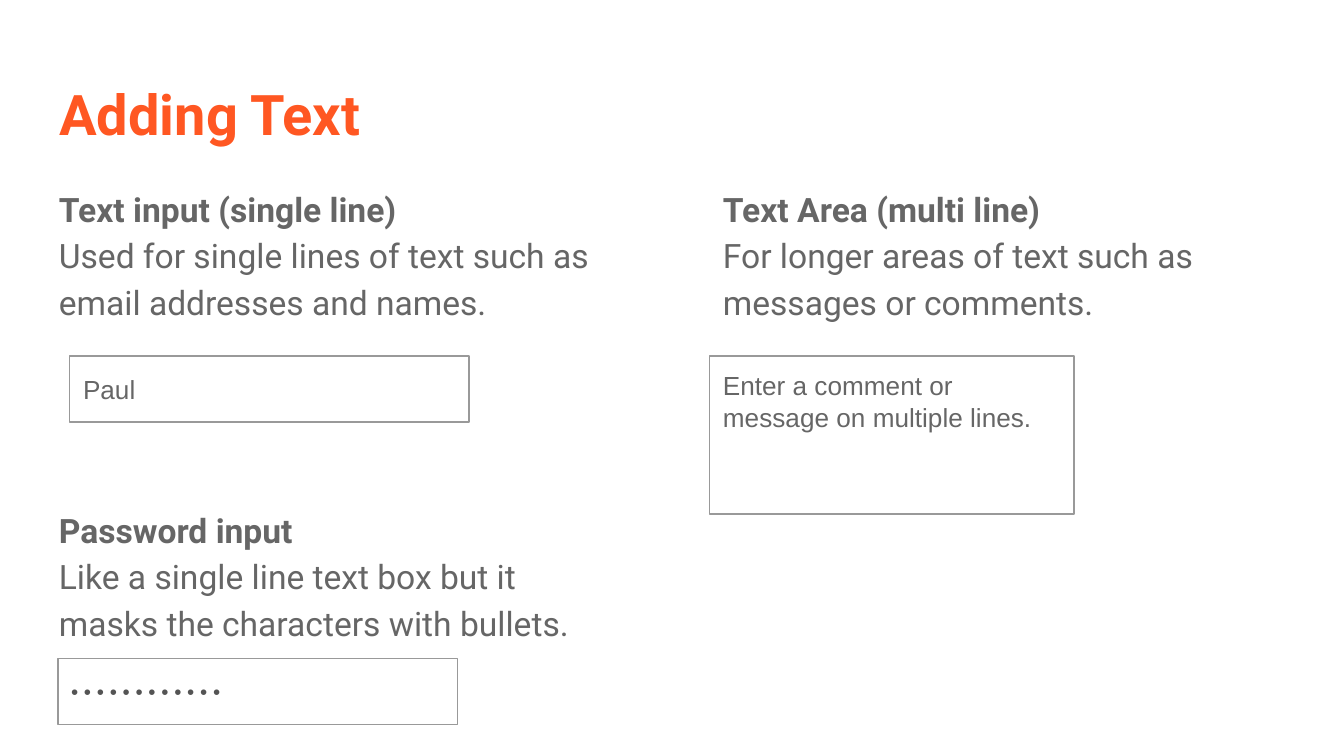
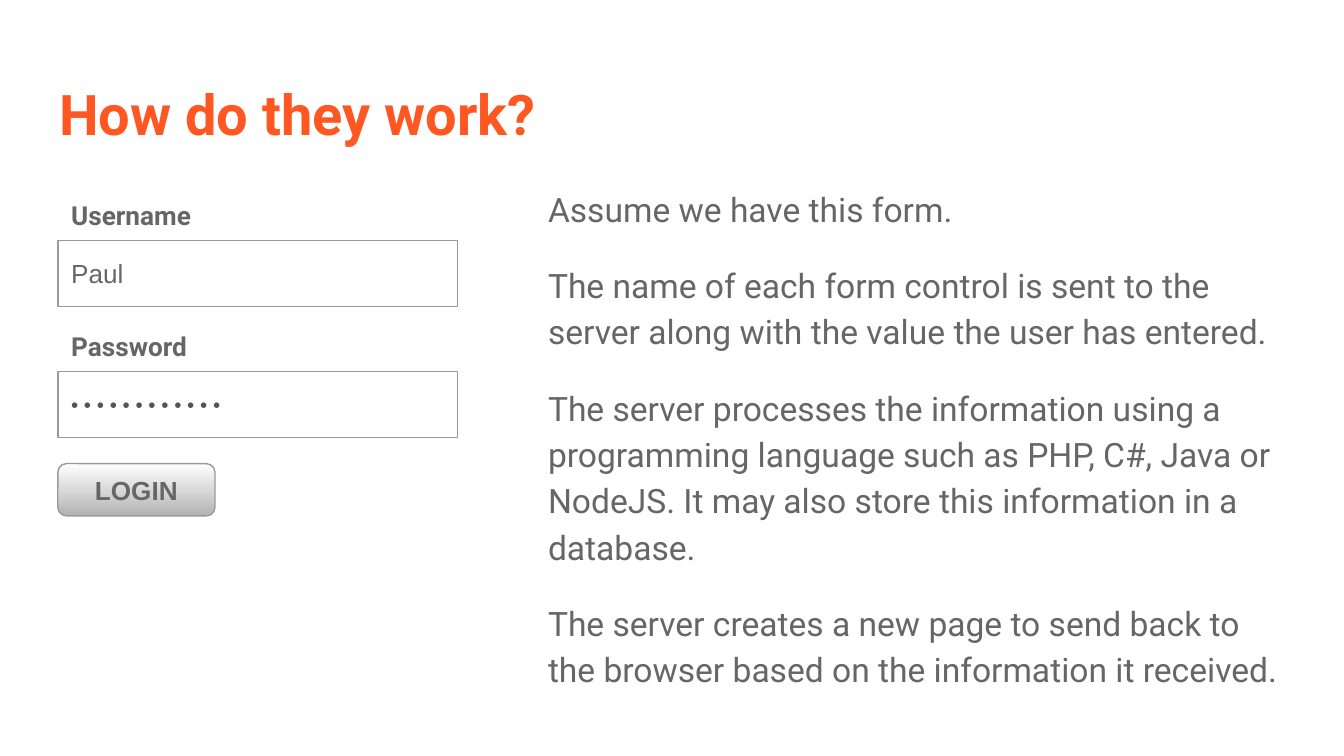
from dataclasses import dataclass

from pptx import Presentation
from pptx.dml.color import RGBColor
from pptx.enum.shapes import MSO_SHAPE
from pptx.enum.text import MSO_ANCHOR, MSO_AUTO_SIZE, PP_ALIGN
from pptx.util import Pt

TOP, MIDDLE = MSO_ANCHOR.TOP, MSO_ANCHOR.MIDDLE
LEFT, CENTER = PP_ALIGN.LEFT, PP_ALIGN.CENTER
RECT, ROUND = MSO_SHAPE.RECTANGLE, MSO_SHAPE.ROUNDED_RECTANGLE
NO_FIT = MSO_AUTO_SIZE.NONE


def tone(code):
    """Return the colour for a hex code."""
    return RGBColor.from_string(code)


def style(name, size, color, bold=False):
    """Return the font values of one text style."""
    return {"name": name, "size": Pt(size), "bold": bold, "color": tone(color)}


@dataclass(frozen=True)
class Theme:
    """Hold the colours, type and spacing of the deck."""

    white = tone("FFFFFF")
    shade = tone("B3B3B3")
    edge = tone("999999")
    title = style("Roboto", 30, "FF5722", True)
    body = style("Roboto", 18, "666666")
    head = style("Roboto", 18, "666666", True)
    label = style("Roboto", 14, "666666", True)
    entry = style("Arial", 14, "666666")
    mask = style("Arial", 11, "545454")
    button = style("Arial", 14, "666666", True)
    inset = Pt(7.2)
    stroke = Pt(0.75)
    lead = 1.15
    gap = 16


THEME = Theme()
EDGE = 31
TEXT_TOP = 90.7
FIELD = (214, 35.3)
DOTS = " ".join("•" * 12)


def assign(item, values):
    """Set each named value on an object."""
    for key, value in values.items():
        setattr(item, key, value)


def place(shape, box):
    """Move and size a shape in points."""
    names = ("left", "top", "width", "height")
    assign(shape, {name: Pt(value) for name, value in zip(names, box)})


def setup(shape, anchor):
    """Prepare the text frame of a shape."""
    frame = shape.text_frame
    sides = ("left", "top", "right", "bottom")
    values = {f"margin_{side}": THEME.inset for side in sides}
    assign(frame, {**values, "word_wrap": True, "auto_size": NO_FIT,
                   "vertical_anchor": anchor})
    return frame


def write(para, text, look):
    """Add one styled run to a paragraph."""
    run = para.add_run()
    run.text = text
    values = dict(look)
    run.font.color.rgb = values.pop("color")
    assign(run.font, values)


def add_title(slide, text):
    """Fill and place the slide title."""
    shape = slide.shapes.title
    place(shape, (24.5, 35.3, 671, 45.4))
    para = setup(shape, TOP).paragraphs[0]
    para.alignment = LEFT
    write(para, text, THEME.title)


def add_text(slide, box, items, gap=THEME.gap):
    """Add paragraphs, each an optional heading and a body."""
    shape = slide.shapes.add_textbox(*map(Pt, box))
    frame = setup(shape, TOP)
    for index, (head, body) in enumerate(items):
        para = frame.add_paragraph() if index else frame.paragraphs[0]
        assign(para, {"line_spacing": THEME.lead,
                      "space_before": Pt(gap if index else 0)})
        if head:
            write(para, head, THEME.head)
            para.add_line_break()
        write(para, body, THEME.body)


def add_label(slide, top, text):
    """Add a bold label above a field."""
    shape = slide.shapes.add_textbox(*map(Pt, (EDGE, top, 112, 28)))
    write(setup(shape, MIDDLE).paragraphs[0], text, THEME.label)


def add_box(slide, box, text, look=THEME.entry, kind=RECT, anchor=MIDDLE,
            align=LEFT):
    """Add an outlined white form control."""
    shape = slide.shapes.add_shape(kind, *map(Pt, box))
    shape.shadow.inherit = False
    shape.fill.solid()
    shape.fill.fore_color.rgb = THEME.white
    shape.line.color.rgb = THEME.edge
    shape.line.width = THEME.stroke
    para = setup(shape, anchor).paragraphs[0]
    para.alignment = align
    write(para, text, look)
    return shape


def add_button(slide, box, text):
    """Add a rounded button that darkens downwards."""
    shape = add_box(slide, box, text, THEME.button, ROUND, align=CENTER)
    shape.adjustments[0] = 0.167
    shape.fill.gradient()
    shape.fill.gradient_angle = 270
    stops = zip(shape.fill.gradient_stops, (THEME.white, THEME.shade))
    for index, (stop, color) in enumerate(stops):
        stop.position = index
        stop.color.rgb = color


def add_slide(deck, title):
    """Add a title-only slide."""
    slide = deck.slides.add_slide(deck.slide_layouts[5])
    slide.background.fill.solid()
    slide.background.fill.fore_color.rgb = THEME.white
    add_title(slide, title)
    return slide


def build_inputs(deck):
    """Build the slide on kinds of text input."""
    slide = add_slide(deck, "Adding Text")
    add_text(slide, (24.5, TEXT_TOP, 314.6, 285), [
        ("Text input (single line)",
         "Used for single lines of text such as email addresses and names."),
        ("Password input",
         "Like a single line text box but it masks the characters "
         "with bullets."),
    ], gap=97.5)
    add_text(slide, (380.2, TEXT_TOP, 314.6, 35.3), [
        ("Text Area (multi line)",
         "For longer areas of text such as messages or comments."),
    ])
    add_box(slide, (37.4, 190.8, *FIELD), "Paul")
    add_box(slide, (EDGE, 352.8, *FIELD), DOTS, THEME.mask)
    add_box(slide, (380.2, 190.8, 195.1, 84.5),
            "Enter a comment or message on multiple lines.", anchor=TOP)


def build_form(deck):
    """Build the slide on how a form works."""
    slide = add_slide(deck, "How do they work?")
    add_text(slide, (286.5, TEXT_TOP, 409, 285), [
        ("", "Assume we have this form."),
        ("", "The name of each form control is sent to the server along "
             "with the value the user has entered."),
        ("", "The server processes the information using a programming "
             "language such as PHP, C#, Java or NodeJS. It may also store "
             "this information in a database."),
        ("", "The server creates a new page to send back to the browser "
             "based on the information it received."),
    ])
    rows = [("Username", "Paul", THEME.entry),
            ("Password", DOTS, THEME.mask)]
    for index, (label, text, look) in enumerate(rows):
        top = 101 + 70.2 * index
        add_label(slide, top, label)
        add_box(slide, (EDGE, top + 27.8, *FIELD), text, look)
    add_button(slide, (EDGE, 248.4, 84.2, 28), "LOGIN")


def main():
    """Build and save the deck."""
    deck = Presentation()
    assign(deck, {"slide_width": Pt(720), "slide_height": Pt(405)})
    build_inputs(deck)
    build_form(deck)
    deck.save("out.pptx")


if __name__ == "__main__":
    main()
